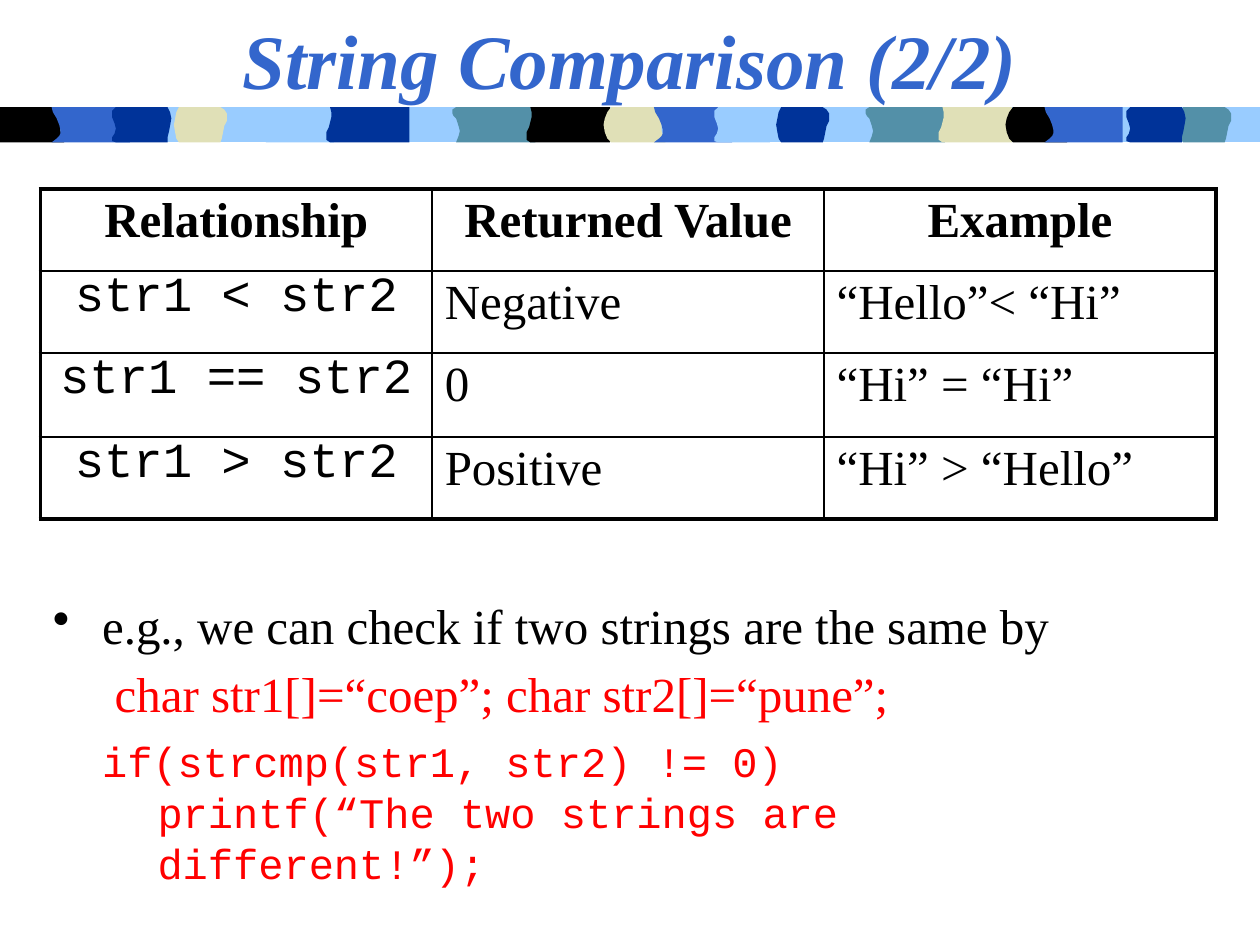
import pptx
import pptx.util
import pptx.dml.color
import pptx.enum.text
import pptx.oxml
import pptx.oxml.ns
import lxml.etree

Inches, Pt = pptx.util.Inches, pptx.util.Pt
Align = pptx.enum.text.PP_ALIGN
serif, mono = "Times New Roman", "Courier New"
black, blue, navy, sky = "000000", "3366CC", "003399", "99CCFF"
teal, sand, red = "5390A8", "E0E0B7", "FF0000"


def tint(code):
    return pptx.dml.color.RGBColor.from_string(code)


def put(para, text, size, face, code, bold=False):
    run = para.add_run()
    run.text = text
    run.font.size = Pt(size)
    run.font.name = face
    run.font.bold = bold
    run.font.color.rgb = tint(code)
    return run


deck = pptx.Presentation()
deck.slide_width, deck.slide_height = Inches(10), Inches(7.5)
slide = deck.slides.add_slide(deck.slide_layouts[5])

# Edges run from top to bottom in hundredths of an inch.
left = {
    "flat": [(0, 0), (0, 28)],
    "notch": [(3, 0), (0, 2), (0, 5), (1, 7), (3, 9), (4, 12), (5, 15),
              (6, 19), (5, 23), (3, 28)],
    "wave": [(3, 0), (4, 4), (4, 8), (3, 12), (2, 16), (0, 20), (0, 26), (3, 28)],
    "lean": [(0, 0), (1, 4), (4, 9), (6, 14), (7, 18), (7, 21), (6, 23),
             (4, 25), (0, 28)],
    "leaf": [(4, 0), (2, 4), (1, 9), (0, 14), (1, 20), (2, 25), (4, 28)],
    "bowl": [(6, 0), (3, 4), (1, 9), (0, 14), (1, 20), (3, 25), (6, 28)],
    "dent": [(3, 0), (0, 3), (0, 8), (2, 13), (3, 17), (2, 21), (0, 24),
             (0, 27), (3, 28)],
}
right = {
    "leaf": [(-5, 0), (-2, 2), (0, 5), (0, 11), (-2, 15), (-4, 25), (-5, 28)],
    "bowl": [(0, 0), (-3, 8), (-3, 14), (-3, 19), (-2, 22), (-1, 25), (0, 28)],
    "dent": [(-3, 0), (-1, 4), (0, 9), (-1, 15), (-2, 20), (-3, 24), (-3, 28)],
}
band = [
    ("flat", "flat", 3, 997, sky),
    ("notch", "flat", 687, 63, teal),
    ("wave", "flat", 745, 58, sand),
    ("leaf", "leaf", 935, 42, teal),
    ("bowl", "bowl", 798, 49, black),
    ("lean", "flat", 829, 62, blue),
    ("dent", "dent", 894, 47, navy),
    ("notch", "flat", 359, 66, teal),
    ("wave", "flat", 418, 66, black),
    ("leaf", "leaf", 616, 42, navy),
    ("bowl", "bowl", 479, 49, sand),
    ("lean", "flat", 519, 62, blue),
    ("notch", "flat", 208, 57, sky),
    ("dent", "dent", 567, 47, sky),
    ("wave", "flat", 259, 66, navy),
    ("leaf", "leaf", 138, 42, sand),
    ("flat", "bowl", 0, 51, black),
    ("lean", "flat", 41, 62, blue),
    ("dent", "dent", 89, 47, navy),
]
top = 85
for near, far, x, wide, code in band:
    side = right.get(far, left["flat"])
    dots = [(x + a, top + b) for a, b in left[near]]
    dots += [(x + wide + a, top + b) for a, b in reversed(side)]
    form = slide.shapes.build_freeform(*dots[0], scale=Inches(0.01))
    form.add_line_segments(dots[1:], close=True)
    piece = form.convert_to_shape()
    piece.shadow.inherit = False
    piece.fill.solid()
    piece.fill.fore_color.rgb = tint(code)
    piece.line.fill.background()

title = slide.shapes.title
title.left, title.top = Inches(1.91), Inches(0.09)
title.width, title.height = Inches(6.18), Inches(0.76)
slide.shapes.element.append(title.element)
frame = title.text_frame
frame.margin_left = frame.margin_right = frame.margin_bottom = 0
frame.margin_top = Inches(0.01)
frame.vertical_anchor = pptx.enum.text.MSO_ANCHOR.TOP
frame.auto_size = pptx.enum.text.MSO_AUTO_SIZE.NONE
frame.word_wrap = False
para = frame.paragraphs[0]
para.alignment = Align.CENTER
put(para, "String Comparison (2/2)", 44, serif, blue, True).font.italic = True

rows = [
    ("Relationship", "Returned Value", "Example"),
    ("str1 < str2", "Negative", "“Hello”< “Hi”"),
    ("str1 == str2", "0", "“Hi” = “Hi”"),
    ("str1 > str2", "Positive", "“Hi” > “Hello”"),
]
grid = slide.shapes.add_table(
    4, 3, Inches(0.32), Inches(1.5), Inches(9.33), Inches(2.62)).table
grid.first_row = grid.horz_banding = False
for col in grid.columns:
    col.width = Inches(3.11)
for row, high in zip(grid.rows, (0.65, 0.65, 0.67, 0.65)):
    row.height = Inches(high)
for r, row in enumerate(rows):
    for c, text in enumerate(row):
        cell = grid.cell(r, c)
        head, code = r == 0, r > 0 and c == 0
        cell.margin_left = Inches(0 if head or code else 0.1)
        cell.margin_right = cell.margin_bottom = 0
        cell.margin_top = Inches(0 if code else 0.04)
        para = cell.text_frame.paragraphs[0]
        para.alignment = Align.CENTER if head or code else Align.LEFT
        para.space_before = Pt(0.3 if code else 2.6)
        put(para, text, 28, mono if code else serif, black, head)
        prop = cell._tc.get_or_add_tcPr()
        outer = {"L": c == 0, "R": c == 2, "T": r == 0, "B": r == 3}
        for edge, thick in outer.items():
            line = lxml.etree.SubElement(prop, pptx.oxml.ns.qn("a:ln" + edge))
            line.set("w", str(Pt(2.25 if thick else 1)))
            fill = lxml.etree.SubElement(line, pptx.oxml.ns.qn("a:solidFill"))
            lxml.etree.SubElement(fill, pptx.oxml.ns.qn("a:srgbClr")).set("val", black)
        cell.fill.background()

box = slide.shapes.add_textbox(Inches(0.42), Inches(4.62), Inches(9.02), Inches(2))
frame = box.text_frame
frame.word_wrap = True
frame.margin_left = frame.margin_bottom = 0
frame.margin_top, frame.margin_right = Inches(0.03), Inches(0.4)
notes = [
    ("e.g., we can check if two strings are the same by", 28, serif, black, 0.39, 39),
    ("char str1[]=“coep”; char str2[]=“pune”;", 28, serif, red, 0.49, 39),
    ("if(strcmp(str1, str2) != 0)", 24, mono, red, 0.39, 36.5),
    ("printf(“The two strings are different!”);", 24, mono, red, 0.83, 29),
]
for i, (text, size, face, code, dent, pitch) in enumerate(notes):
    para = frame.add_paragraph() if i else frame.paragraphs[0]
    para.line_spacing = Pt(pitch)
    put(para, text, size, face, code)
    prop = para._p.get_or_add_pPr()
    prop.set("marL", str(Inches(dent)))
    prop.set("indent", str(0 if i else -Inches(dent)))
    if i == 0:
        lxml.etree.SubElement(prop, pptx.oxml.ns.qn("a:buChar")).set("char", "•")

deck.save("out.pptx")
